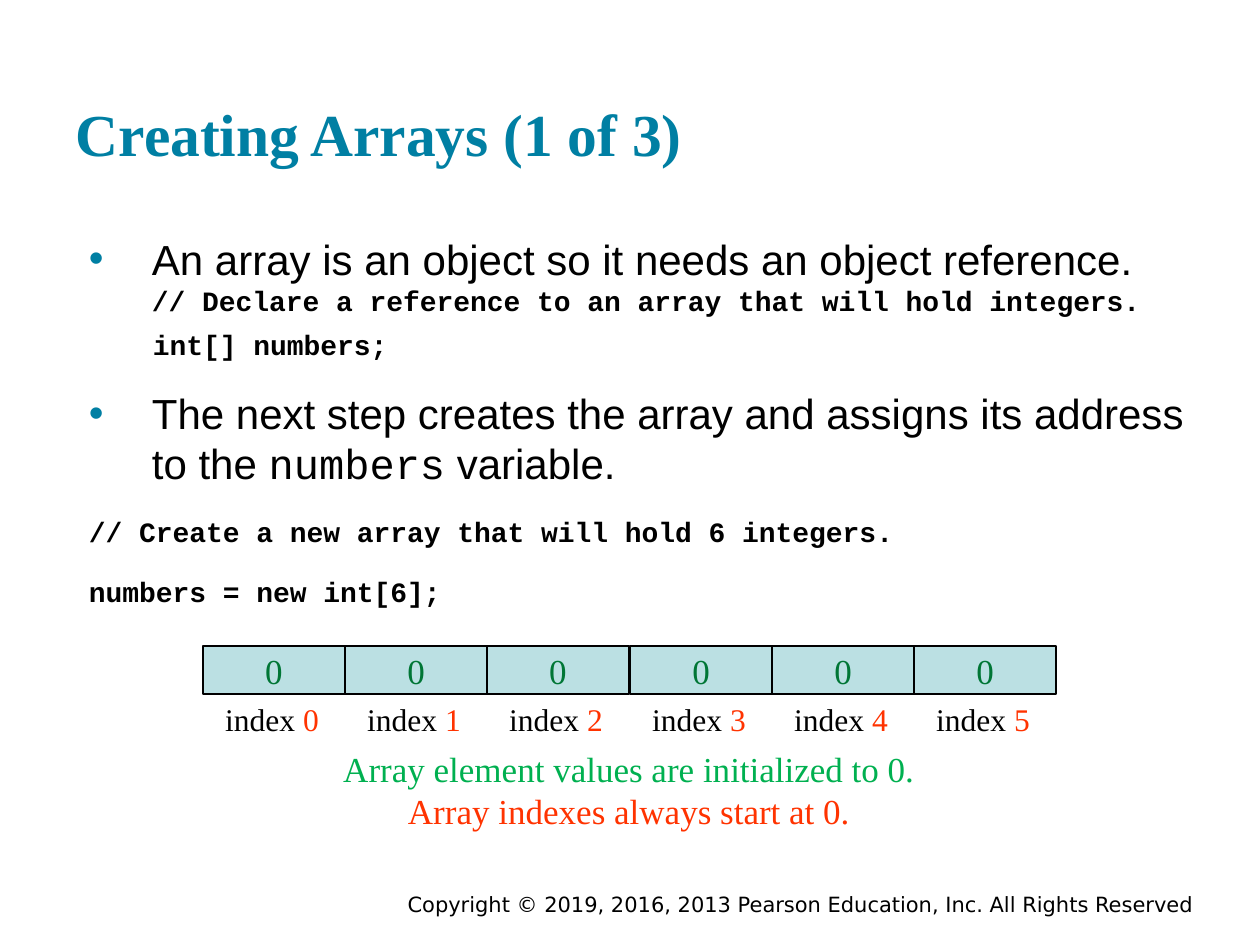
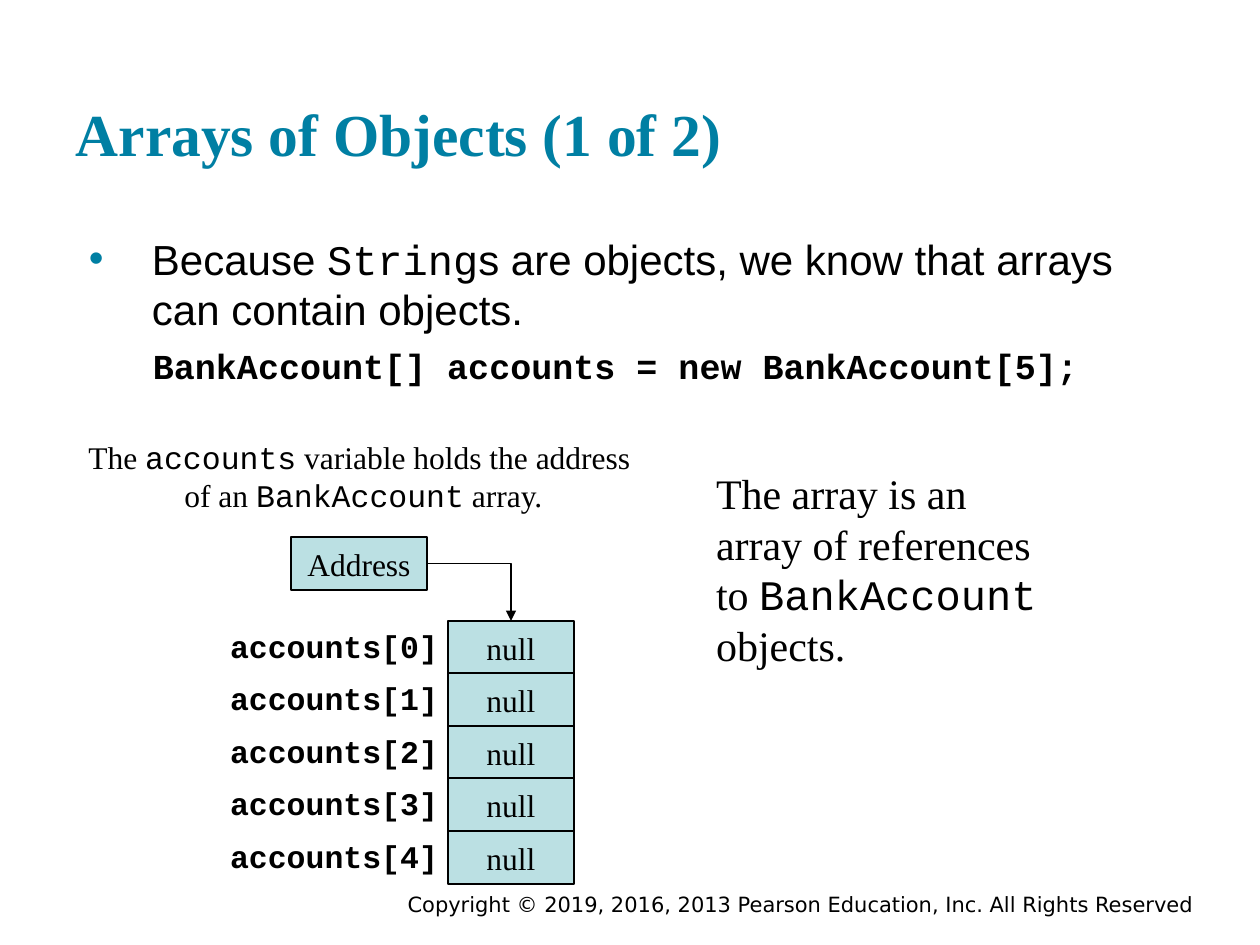
from lxml import etree
from pptx import Presentation
from pptx.dml.color import RGBColor
from pptx.enum.shapes import MSO_CONNECTOR, MSO_SHAPE
from pptx.enum.text import MSO_ANCHOR, MSO_AUTO_SIZE, PP_ALIGN
from pptx.oxml.ns import qn
from pptx.util import Pt

SCALE = 914400 / 126
TEAL = RGBColor(0x00, 0x7F, 0xA3)
PALE = RGBColor(0xBB, 0xE0, 0xE3)
BLACK = RGBColor(0x00, 0x00, 0x00)
GREEN = RGBColor(0x00, 0xB0, 0x50)
FOREST = RGBColor(0x00, 0x76, 0x35)
RED = RGBColor(0xFF, 0x33, 0x00)
SERIF, SANS, MONO, SMALL = "Times New Roman", "Arial", "Courier New", "DejaVu Sans"
LEFT, CENTER, RIGHT = PP_ALIGN.LEFT, PP_ALIGN.CENTER, PP_ALIGN.RIGHT
TOP, MIDDLE, BOTTOM = MSO_ANCHOR.TOP, MSO_ANCHOR.MIDDLE, MSO_ANCHOR.BOTTOM
FIXED = MSO_AUTO_SIZE.NONE
ELBOW, RECT = MSO_CONNECTOR.ELBOW, MSO_SHAPE.RECTANGLE
RIGHT_SITE, TOP_SITE = 3, 0
TITLE_ONLY = 5
CODE = {"font": MONO, "size": 16, "bold": True}
COPY_LINE = "Copyright © 2019, 2016, 2013 Pearson Education, Inc. All Rights Reserved"


def px(n):
    return round(n * SCALE)


def place(x, y, w, h):
    return px(x), px(y), px(w), px(h)


def style(run, font=SERIF, size=18, color=BLACK, bold=False):
    run.font.name = font
    run.font.size = Pt(size)
    run.font.color.rgb = color
    run.font.bold = bold


def mark(para):
    props = para._p.get_or_add_pPr()
    tint = etree.SubElement(props, qn("a:buClr"))
    etree.SubElement(tint, qn("a:srgbClr")).set("val", str(TEAL))
    etree.SubElement(props, qn("a:buFont")).set("typeface", SANS)
    etree.SubElement(props, qn("a:buChar")).set("char", "•")


def write(frame, text, align=LEFT, before=0, left=0, hang=0, bullet=False, **look):
    para = frame.paragraphs[0]
    if para.runs:
        para = frame.add_paragraph()
        para.space_before = Pt(before)
    props = para._p.get_or_add_pPr()
    props.set("marL", str(px(left)))
    props.set("indent", str(-px(hang)))
    if bullet:
        mark(para)
    para.alignment = align
    for part in [text] if isinstance(text, str) else text:
        words, extra = (part, {}) if isinstance(part, str) else part
        run = para.add_run()
        run.text = words.rstrip("\n")
        style(run, **{**look, **extra})
        if words.endswith("\n"):
            para.add_line_break()


def fit(frame, anchor=TOP, wrap=True, edge=6):
    frame.auto_size = FIXED
    frame.word_wrap = wrap
    frame.vertical_anchor = anchor
    frame.margin_left = frame.margin_right = px(13)
    frame.margin_top = frame.margin_bottom = px(edge)
    return frame


def frame_at(slide, x, y, w, h, **form):
    return fit(slide.shapes.add_textbox(*place(x, y, w, h)).text_frame, **form)


def label(slide, x, y, w, h, text, wrap=False, **look):
    write(frame_at(slide, x, y, w, h, wrap=wrap), text, **look)


def cell(slide, x, y, w, h, text, **look):
    box = slide.shapes.add_shape(RECT, *place(x, y, w, h))
    box.shadow.inherit = False
    box.fill.solid()
    box.fill.fore_color.rgb = PALE
    box.line.color.rgb = BLACK
    box.line.width = Pt(0.75)
    write(fit(box.text_frame, MIDDLE, False), text, align=CENTER, **look)
    return box


def arrow(slide, start, end):
    link = slide.shapes.add_connector(ELBOW, 0, 0, 0, 0)
    link.begin_connect(start, RIGHT_SITE)
    link.end_connect(end, TOP_SITE)
    link.line.color.rgb = BLACK
    link.line.width = Pt(0.75)
    props = link._element.spPr
    props.find(qn("a:prstGeom")).set("prst", "bentConnector2")
    tip = etree.SubElement(props.find(qn("a:ln")), qn("a:tailEnd"))
    tip.set("type", "triangle")
    etree.SubElement(props, qn("a:effectLst"))


def page(deck, title):
    slide = deck.slides.add_slide(deck.slide_layouts[TITLE_ONLY])
    head = slide.shapes.title
    head.left, head.top, head.width, head.height = place(63, 30, 1134, 151)
    write(fit(head.text_frame, BOTTOM, edge=13), title, size=34, color=TEAL, bold=True)
    label(slide, 220, 886, 987, 28, COPY_LINE, wrap=True, align=RIGHT,
          font=SMALL, size=12)
    return slide, frame_at(slide, 63, 220, 1134, 624, edge=13)


def point(body, text):
    write(body, text, before=15, left=76, hang=63, bullet=True, font=SANS, size=24)


def create(deck):
    slide, body = page(deck, "Creating Arrays (1 of 3)")
    point(body, ["An array is an object so it needs an object reference.\n",
                 ("// Declare a reference to an array that will hold integers.", CODE)])
    write(body, "int[] numbers;", before=6, left=77, **CODE)
    point(body, ["The next step creates the array and assigns its address to the ",
                 ("numbers", {"font": MONO}), " variable."])
    for line in ("// Create a new array that will hold 6 integers.",
                 "numbers = new int[6];"):
        write(body, line, before=15, left=13, **CODE)

    count, span = 6, 854
    for i in range(count):
        x = 203 + i * span // count
        cell(slide, x, 646, span // count, 48, "0", size=20, color=FOREST)
        label(slide, x + 10, 694, 118, 50, ["index ", (str(i), {"color": RED})],
              align=CENTER)
    label(slide, 331, 741, 596, 97,
          ["Array element values are initialized to 0.\n",
           ("Array indexes always start at 0.", {"color": RED})],
          align=CENTER, size=20, color=GREEN)


def hold(deck):
    slide, body = page(deck, "Arrays of Objects (1 of 2)")
    mono = {"font": MONO}
    point(body, ["Because ", ("String", mono),
                 "s are objects, we know that arrays can contain objects."])
    write(body, "BankAccount[] accounts = new BankAccount[5];", before=6, left=77,
          **{**CODE, "size": 20})

    note = frame_at(slide, 76, 432, 567, 88, wrap=False)
    write(note, ["The ", ("accounts", mono), " variable holds the address"],
          align=CENTER)
    write(note, [" of an ", ("BankAccount", mono), " array."], align=CENTER)

    count, span = 5, 263
    cells = []
    for i in range(count):
        y = 621 + i * span // count
        cells.append(cell(slide, 448, y, 126, 53, "null"))
        label(slide, 165, y, 286, 50, f"accounts[{i}]", wrap=True, align=RIGHT,
              font=MONO, bold=True)
    start = cell(slide, 291, 537, 136, 53, "Address")
    arrow(slide, start, cells[0])
    label(slide, 703, 462, 347, 214,
          ["The array is an array of references to ", ("BankAccount", mono), " objects."],
          wrap=True, size=24)


def main():
    deck = Presentation()
    deck.slide_width, deck.slide_height = px(1260), px(945)
    create(deck)
    hold(deck)
    deck.save("out.pptx")


if __name__ == "__main__":
    main()
